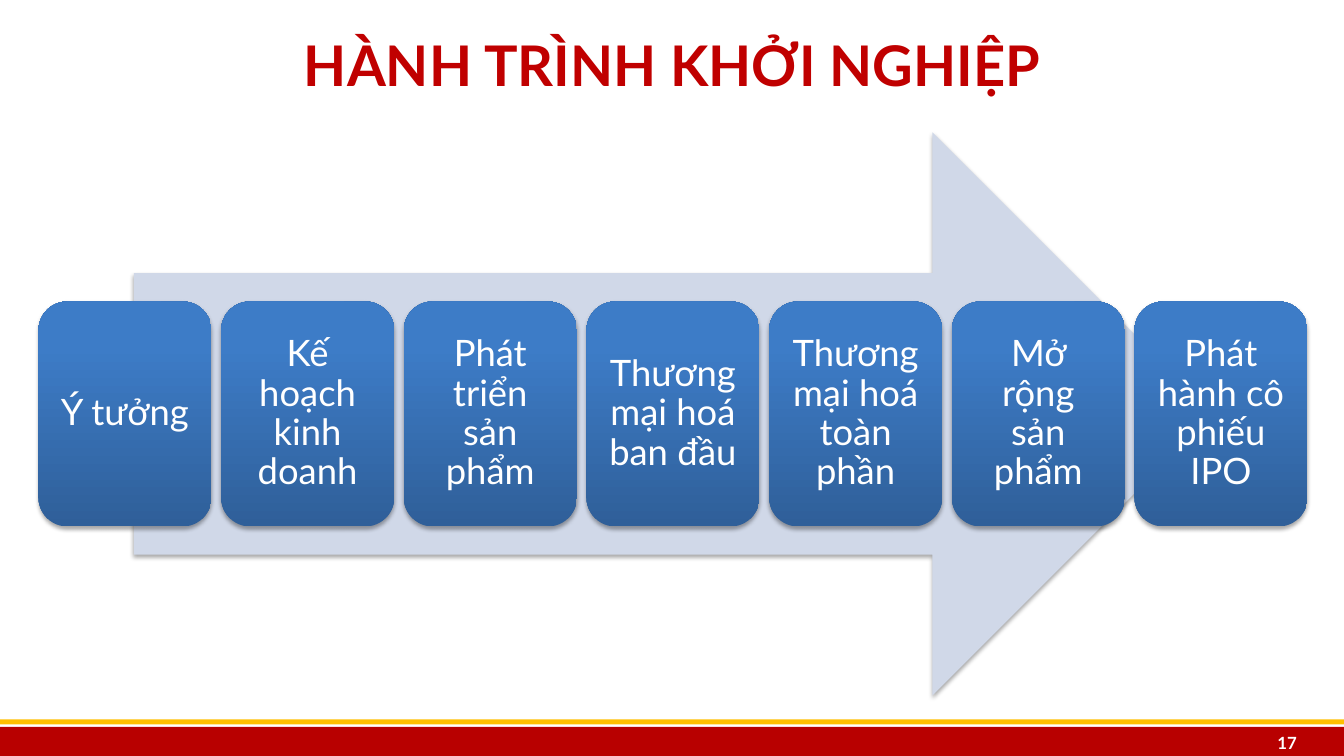
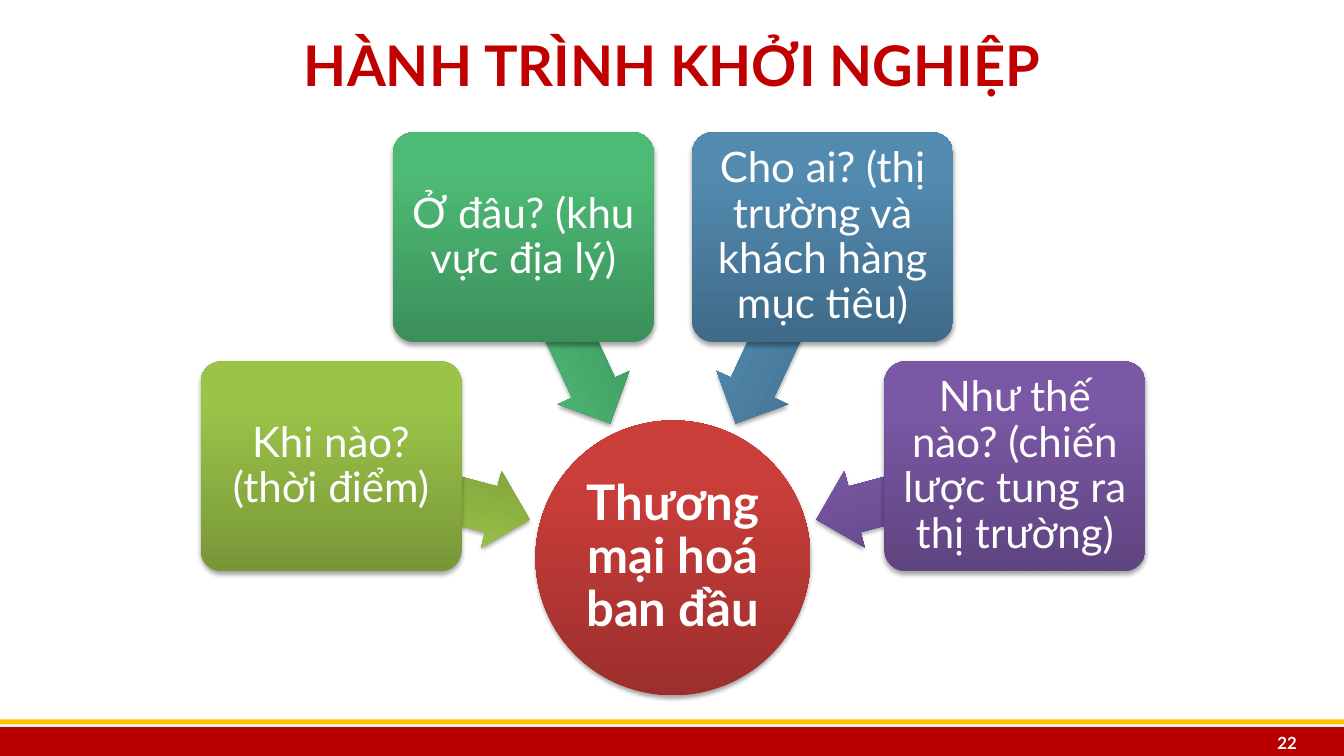
from math import cos, radians, sin

from pptx import Presentation
from pptx.dml.color import RGBColor
from pptx.enum.shapes import MSO_SHAPE
from pptx.enum.text import MSO_ANCHOR, MSO_AUTO_SIZE, PP_ALIGN
from pptx.oxml import parse_xml
from pptx.oxml.ns import nsdecls
from pptx.util import Pt

PX = 9071  # EMU per px
FONT = "Lato"
WHITE = "FFFFFF"
TITLE_RED = "C00000"
BAND_RED = "B80000"
BAND_GOLD = "FFC000"
PALE_BLUE = "D0D8E8"
# Gradients run from the bottom colour to the top colour.
BLUE = ("2F5F99", "3D7CC7")
RED = ("9C2F2D", "CB3E3A")
LIME = ("779737", "9BC348")
GREEN = ("3B8F5A", "4DBA75")
STEEL = ("3F6A88", "528AB0")
PURPLE = ("5F4480", "7B58A6")

SHADOW = (
    f'<a:outerShdw {nsdecls("a")} blurRad="40000" dist="23000" dir="5400000" rotWithShape="0">'
    '<a:srgbClr val="000000"><a:alpha val="35000"/></a:srgbClr></a:outerShdw>'
)


def write(shape, text, size, color=WHITE, bold=False, align=PP_ALIGN.CENTER, margins=(10, 5), spacing=None):
    """Fill a shape with one paragraph; margins are (sides, top and bottom) in px."""
    frame = shape.text_frame
    frame.text = text
    frame.word_wrap = True
    frame.auto_size = MSO_AUTO_SIZE.NONE
    frame.vertical_anchor = MSO_ANCHOR.MIDDLE
    frame.margin_left = frame.margin_right = margins[0] * PX
    frame.margin_top = frame.margin_bottom = margins[1] * PX
    paragraph = frame.paragraphs[0]
    paragraph.alignment = align
    paragraph.line_spacing = spacing
    paragraph.font.name = FONT
    paragraph.font.size = Pt(size)
    paragraph.font.bold = bold
    paragraph.font.color.rgb = RGBColor.from_string(color)


def add_block(slide, kind, center, size, color, adjustments=(), rotation=0, shadow=True):
    """Draw a borderless shape around a center; color is a hex string or a (bottom, top) pair."""
    left, top = (round((c - s / 2) * PX) for c, s in zip(center, size))
    block = slide.shapes.add_shape(kind, left, top, size[0] * PX, size[1] * PX)
    block.rotation = rotation
    for index, value in enumerate(adjustments):
        block.adjustments[index] = value
    if isinstance(color, str):
        block.fill.solid()
        block.fill.fore_color.rgb = RGBColor.from_string(color)
    else:
        block.fill.gradient()
        block.fill.gradient_angle = 90
        for stop, position, shade in zip(block.fill.gradient_stops, (0, 0.8), color):
            stop.position = position
            stop.color.rgb = RGBColor.from_string(shade)
    block.line.fill.background()
    block.shadow.inherit = False
    if shadow:
        effects = block.element.spPr.find("{*}effectLst")
        effects.append(parse_xml(SHADOW))
    return block


deck = Presentation()
deck.slide_width = 1344 * PX
deck.slide_height = 756 * PX
layout = deck.slide_layouts.get_by_name("Title Only")

# Shared title and page number
slides = []
for page in ("17", "22"):
    slide = deck.slides.add_slide(layout)
    title = slide.shapes.title
    title.left, title.top, title.width, title.height = 37 * PX, 5 * PX, 1270 * PX, 119 * PX
    write(title, "HÀNH TRÌNH KHỞI NGHIỆP", 40, TITLE_RED, bold=True)
    number = slide.shapes.add_textbox(1220 * PX, 727 * PX, 87 * PX, 31 * PX)
    write(number, page, 12, bold=True, align=PP_ALIGN.RIGHT, margins=(10, 0))
    slides.append(slide)
journey, launch = slides

# Footer bands live on the layout
for middle, height, color in ((742, 30, BAND_RED), (722, 5, BAND_GOLD)):
    band = add_block(journey, MSO_SHAPE.RECTANGLE, (672, middle), (1344, height), color, shadow=False)
    layout.shapes.element.insert(2, band.element)

# Journey: seven steps along an arrow
add_block(journey, MSO_SHAPE.RIGHT_ARROW, (674, 414), (1080, 563), PALE_BLUE)
steps = (
    "Ý tưởng",
    "Kế hoạch kinh doanh",
    "Phát triển sản phẩm",
    "Thương mại hoá ban đầu",
    "Thương mại hoá toàn phần",
    "Mở rộng sản phẩm",
    "Phát hành cô phiếu IPO",
)
first_center, last_center = 125, 1221
pitch = (last_center - first_center) / (len(steps) - 1)
for index, text in enumerate(steps):
    step = add_block(journey, MSO_SHAPE.ROUNDED_RECTANGLE, (first_center + index * pitch, 414), (173, 225), BLUE)
    write(step, text, 26, margins=(11, 11), spacing=0.9)

# Launch: four questions fanned around the hub
hub_x, hub_y = 673, 558
hub = add_block(launch, MSO_SHAPE.OVAL, (hub_x, hub_y), (275, 275), RED)
write(hub, "Thương mại hoá ban đầu", 35, bold=True, margins=(2, 2), spacing=0.9)
questions = (
    ("Khi nào? (thời điểm)", LIME),
    ("Ở đâu? (khu vực địa lý)", GREEN),
    ("Cho ai? (thị trường và khách hàng mục tiêu)", STEEL),
    ("Như thế nào? (chiến lược tung ra thị trường)", PURPLE),
)
arrow_radius, question_radius = 251, 354
for index, (text, color) in enumerate(questions):
    angle = 195 + 50 * index
    arrow_center, question_center = (
        (hub_x + radius * cos(radians(angle)), hub_y + radius * sin(radians(angle)))
        for radius in (arrow_radius, question_radius)
    )
    add_block(launch, MSO_SHAPE.LEFT_ARROW, arrow_center, (205, 79), color, (0.6, 0.5), angle)
    question = add_block(launch, MSO_SHAPE.ROUNDED_RECTANGLE, question_center, (261, 210), color, (0.1,))
    write(question, text, 30, margins=(6, 6), spacing=0.9)

deck.save("out.pptx")
